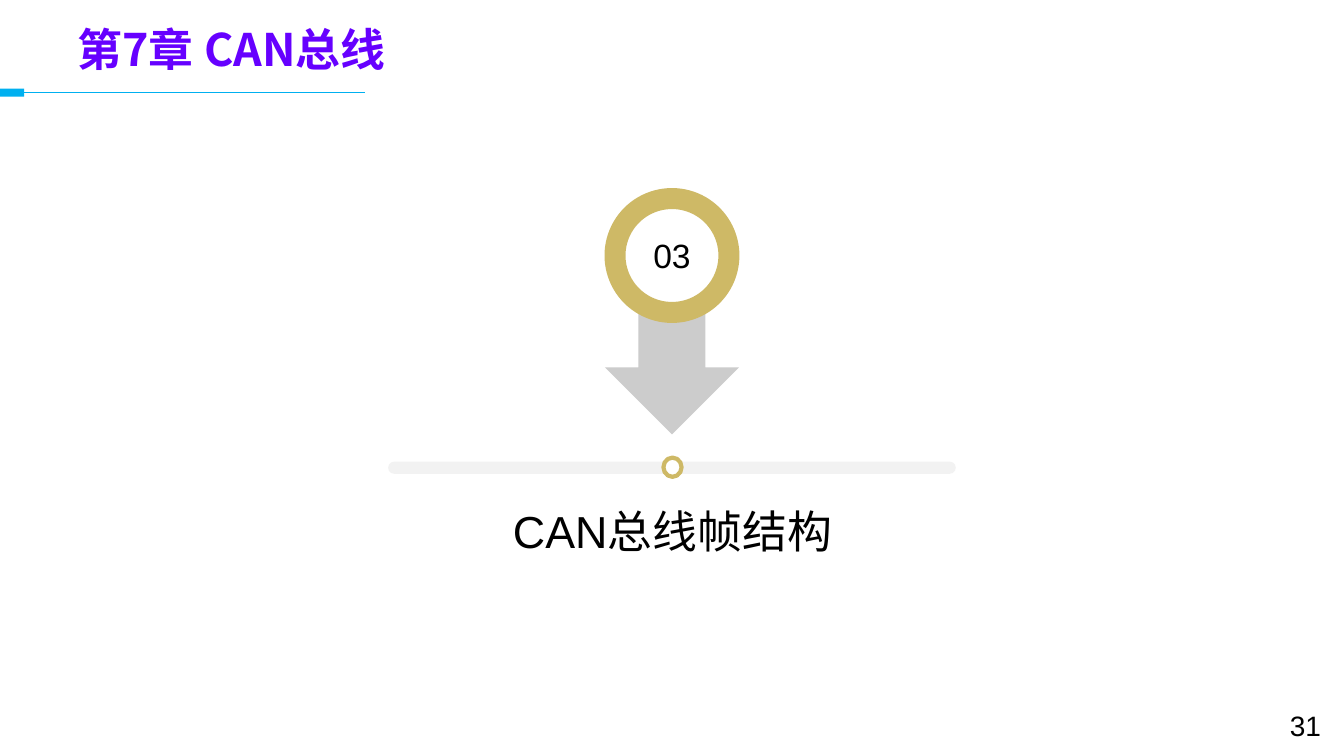
from dataclasses import dataclass
from typing import Optional

from lxml import etree
from pptx import Presentation
from pptx import util as u
from pptx.dml import color
from pptx.enum import shapes, text
from pptx.oxml import ns

PX = u.Inches(1) // 100  # 100 px to the inch


@dataclass(frozen=True)
class Theme:
    gold: str = "CEB966"
    sky: str = "00B0F0"
    violet: str = "6600FF"
    ink: str = "000000"
    paper: str = "FFFFFF"
    track: str = "F2F2F2"
    arrow: str = "CCCCCC"
    latin: str = "Arial"
    cjk: str = "Noto Sans CJK SC"
    heading_size: int = 32
    badge_size: int = 24
    page_size: int = 20


THEME = Theme()
KIND = shapes.MSO_SHAPE
ALIGN = text.PP_ALIGN
ANCHOR = text.MSO_ANCHOR


@dataclass(frozen=True)
class Box:
    left: int
    top: int
    width: int
    height: int

    def emu(self) -> list[int]:
        return [n * PX for n in (self.left, self.top, self.width, self.height)]


@dataclass(frozen=True)
class Figure:
    kind: shapes.MSO_SHAPE
    box: Box
    fill: str
    outline: Optional[str] = None
    weight: float = 0
    adjust: tuple[float, ...] = ()


@dataclass(frozen=True)
class Label:
    words: str
    size: int
    align: text.PP_ALIGN
    anchor: text.MSO_ANCHOR = ANCHOR.TOP
    font: str = THEME.latin
    ink: str = THEME.ink
    bold: bool = False
    spacing: float = 1.0
    inset: Optional[int] = None


def rgb(code: str) -> color.RGBColor:
    return color.RGBColor.from_string(code)


def apply(target, values: dict) -> None:
    for name, value in values.items():
        setattr(target, name, value)


def draw_figure(slide, figure: Figure):
    shape = slide.shapes.add_shape(figure.kind, *figure.box.emu())
    shape.shadow.inherit = False
    for index, value in enumerate(figure.adjust):
        shape.adjustments[index] = value
    shape.fill.solid()
    shape.fill.fore_color.rgb = rgb(figure.fill)
    if figure.outline:
        shape.line.color.rgb = rgb(figure.outline)
        shape.line.width = u.Pt(figure.weight)
    else:
        shape.line.fill.background()
    return shape


def write_label(shape, label: Label) -> None:
    frame = shape.text_frame
    apply(frame, {"word_wrap": True, "auto_size": text.MSO_AUTO_SIZE.NONE,
                  "vertical_anchor": label.anchor})
    if label.inset is not None:
        sides = ("left", "top", "right", "bottom")
        apply(frame, {f"margin_{side}": label.inset * PX for side in sides})
    paragraph = frame.paragraphs[0]
    apply(paragraph, {"alignment": label.align, "line_spacing": label.spacing})
    run = paragraph.add_run()
    run.text = label.words
    apply(run.font, {"name": label.font, "size": u.Pt(label.size), "bold": label.bold})
    run.font.color.rgb = rgb(label.ink)
    east_asian = etree.SubElement(run.font._element, ns.qn("a:ea"))
    east_asian.set("typeface", THEME.cjk)


def draw_text(slide, box: Box, label: Label) -> None:
    write_label(slide.shapes.add_textbox(*box.emu()), label)


def draw_header(slide) -> None:
    accent = draw_figure(slide, Figure(KIND.RECTANGLE, Box(0, 88, 24, 8), THEME.sky))
    rule = slide.shapes.add_connector(
        shapes.MSO_CONNECTOR.STRAIGHT, 362 * PX, 92 * PX, 24 * PX, 92 * PX)
    rule.end_connect(accent, 3)
    rule.line.color.rgb = rgb(THEME.sky)
    rule.line.width = u.Pt(0.75)
    etree.SubElement(rule._element.spPr, ns.qn("a:effectLst"))

    title = slide.shapes.title
    apply(title, dict(zip(("left", "top", "width", "height"),
                          Box(67, 20, 1200, 63).emu())))
    write_label(title, Label("第7章 CAN总线", THEME.heading_size, ALIGN.LEFT,
                             ANCHOR.MIDDLE, THEME.cjk, THEME.violet, True, 0.9))


def draw_section(slide) -> None:
    track = Figure(KIND.ROUNDED_RECTANGLE, Box(385, 458, 563, 12), THEME.track,
                   adjust=(0.5,))
    arrow = Figure(KIND.DOWN_ARROW, Box(600, 254, 133, 177), THEME.arrow,
                   adjust=(0.5, 0.5))
    badge = Figure(KIND.OVAL, Box(610, 197, 113, 113), THEME.paper, THEME.gold, 15)
    marker = Figure(KIND.OVAL, Box(658, 454, 18, 19), THEME.paper, THEME.gold, 3)

    draw_figure(slide, track)
    draw_figure(slide, arrow)
    write_label(draw_figure(slide, badge),
                Label("03", THEME.badge_size, ALIGN.CENTER, ANCHOR.MIDDLE, inset=0))
    draw_figure(slide, marker)
    draw_text(slide, Box(473, 489, 388, 46),
              Label("CAN总线帧结构", THEME.heading_size, ALIGN.CENTER, spacing=1.1))


def main() -> None:
    deck = Presentation()
    apply(deck, {"slide_width": 1333 * PX, "slide_height": 750 * PX})
    slide = deck.slides.add_slide(deck.slide_layouts.get_by_name("Title Only"))
    draw_header(slide)
    draw_section(slide)
    draw_text(slide, Box(1009, 698, 311, 52),
              Label("31", THEME.page_size, ALIGN.RIGHT))
    deck.save("out.pptx")


if __name__ == "__main__":
    main()
